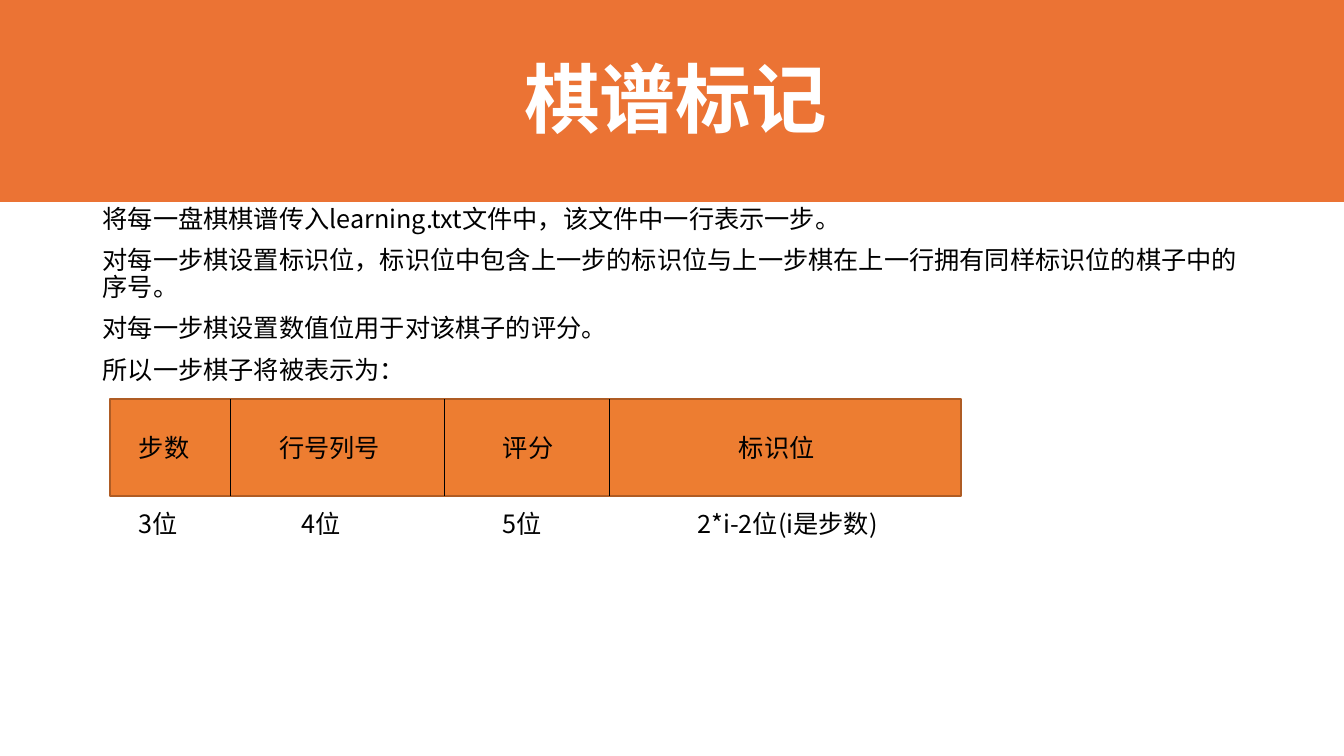
from dataclasses import dataclass
from typing import Optional

from lxml.etree import SubElement
from pptx import Presentation
from pptx.dml.color import RGBColor
from pptx.enum.shapes import MSO_CONNECTOR as Connector, MSO_SHAPE as ShapeKind
from pptx.enum.text import MSO_ANCHOR as Anchor, MSO_AUTO_SIZE as AutoSize, PP_ALIGN as Align
from pptx.oxml.ns import qn
from pptx.util import Inches, Pt

BANNER_ORANGE = RGBColor(0xEB, 0x73, 0x34)
BAR_ORANGE = RGBColor(0xED, 0x7D, 0x31)
BAR_EDGE = RGBColor(0xAF, 0x5C, 0x24)
BLACK = RGBColor(0, 0, 0)
WHITE = RGBColor(0xFF, 0xFF, 0xFF)
CHINESE_FONT = "Noto Sans CJK SC"
TITLE_FONT = "Times New Roman"

# Grid: the slide is 13.33 columns wide and 7.5 rows high
COLUMNS, ROWS = 13.33, 7.5
SLIDE_WIDTH, SLIDE_HEIGHT = Inches(13.33), Inches(7.5)


@dataclass(frozen=True)
class Area:
    left: float
    top: float
    width: float
    height: float

    def lengths(self) -> tuple[int, int, int, int]:
        return column(self.left), row(self.top), column(self.width), row(self.height)


@dataclass(frozen=True)
class Field:
    name: str
    name_left: float
    name_width: float
    size: str
    size_left: float
    size_width: float
    divider: Optional[float] = None


BANNER = Area(0, -0.06, 13.4, 2.06)
BODY = Area(0.92, 2, 11.5, 5.5)
BAR = Area(1.09, 3.96, 8.44, 0.96)
NAME_TOP, SIZE_TOP, LABEL_HEIGHT = 4.24, 4.99, 0.4

EXPLANATION = [
    "将每一盘棋棋谱传入learning.txt文件中，该文件中一行表示一步。",
    "对每一步棋设置标识位，标识位中包含上一步的标识位与上一步棋在上一行拥有同样标识位的棋子中的序号。",
    "对每一步棋设置数值位用于对该棋子的评分。",
    "所以一步棋子将被表示为：",
]
FIELDS = [
    Field("步数", 1.28, 0.77, "3位", 1.28, 0.77, 2.28),
    Field("行号列号", 2.67, 1.26, "4位", 2.89, 0.68, 4.41),
    Field("评分", 4.89, 0.91, "5位", 4.89, 0.68, 6.04),
    Field("标识位", 7.23, 1.01, "2*i-2位(i是步数)", 6.82, 2.17),
]


def column(count: float) -> int:
    return round(SLIDE_WIDTH * count / COLUMNS)


def row(count: float) -> int:
    return round(SLIDE_HEIGHT * count / ROWS)


def add_run(paragraph, text: str, size: float = 18, color: RGBColor = BLACK,
            font: str = CHINESE_FONT, bold: bool = False) -> None:
    run = paragraph.add_run()
    run.text = text
    run.font.size = Pt(size)
    run.font.bold = bold
    run.font.color.rgb = color
    run.font.name = font
    # East Asian typeface for the Chinese characters
    SubElement(run.font._element, qn("a:ea"), typeface=CHINESE_FONT)


def add_rectangle(slide, area: Area, fill: RGBColor, edge: RGBColor):
    shape = slide.shapes.add_shape(ShapeKind.RECTANGLE, *area.lengths())
    shape.shadow.inherit = False
    shape.fill.solid()
    shape.fill.fore_color.rgb = fill
    shape.line.color.rgb = edge
    shape.line.width = Pt(1)
    return shape


def add_text_frame(slide, area: Area):
    frame = slide.shapes.add_textbox(*area.lengths()).text_frame
    frame.word_wrap = True
    return frame


def add_label(slide, text: str, left: float, top: float, width: float) -> None:
    frame = add_text_frame(slide, Area(left, top, width, LABEL_HEIGHT))
    frame.auto_size = AutoSize.SHAPE_TO_FIT_TEXT
    add_run(frame.paragraphs[0], text)


def add_divider(slide, position: float) -> None:
    line = slide.shapes.add_connector(
        Connector.STRAIGHT, column(position), row(BAR.top),
        column(position), row(BAR.top + BAR.height))
    line.line.color.rgb = BLACK
    line.line.width = Pt(0.5)
    SubElement(line._element.spPr, qn("a:effectLst"))


def add_explanation(slide) -> None:
    frame = add_text_frame(slide, BODY)
    for index, text in enumerate(EXPLANATION):
        paragraph = frame.add_paragraph() if index else frame.paragraphs[0]
        paragraph.line_spacing = 0.9
        paragraph.space_before = Pt(10)
        add_run(paragraph, text)


def add_banner(slide) -> None:
    frame = add_rectangle(slide, BANNER, BANNER_ORANGE, BANNER_ORANGE).text_frame
    frame.vertical_anchor = Anchor.MIDDLE
    paragraph = frame.paragraphs[0]
    paragraph.alignment = Align.CENTER
    add_run(paragraph, "棋谱标记", 54, WHITE, TITLE_FONT, bold=True)


def main() -> None:
    presentation = Presentation()
    presentation.slide_width, presentation.slide_height = SLIDE_WIDTH, SLIDE_HEIGHT
    slide = presentation.slides.add_slide(presentation.slide_layouts[6])

    # Explanation and title banner
    add_explanation(slide)
    add_banner(slide)

    # Record bar with its fields and their lengths
    add_rectangle(slide, BAR, BAR_ORANGE, BAR_EDGE)
    for field in FIELDS:
        if field.divider is not None:
            add_divider(slide, field.divider)
        add_label(slide, field.name, field.name_left, NAME_TOP, field.name_width)
        add_label(slide, field.size, field.size_left, SIZE_TOP, field.size_width)

    presentation.save("out.pptx")


if __name__ == "__main__":
    main()
